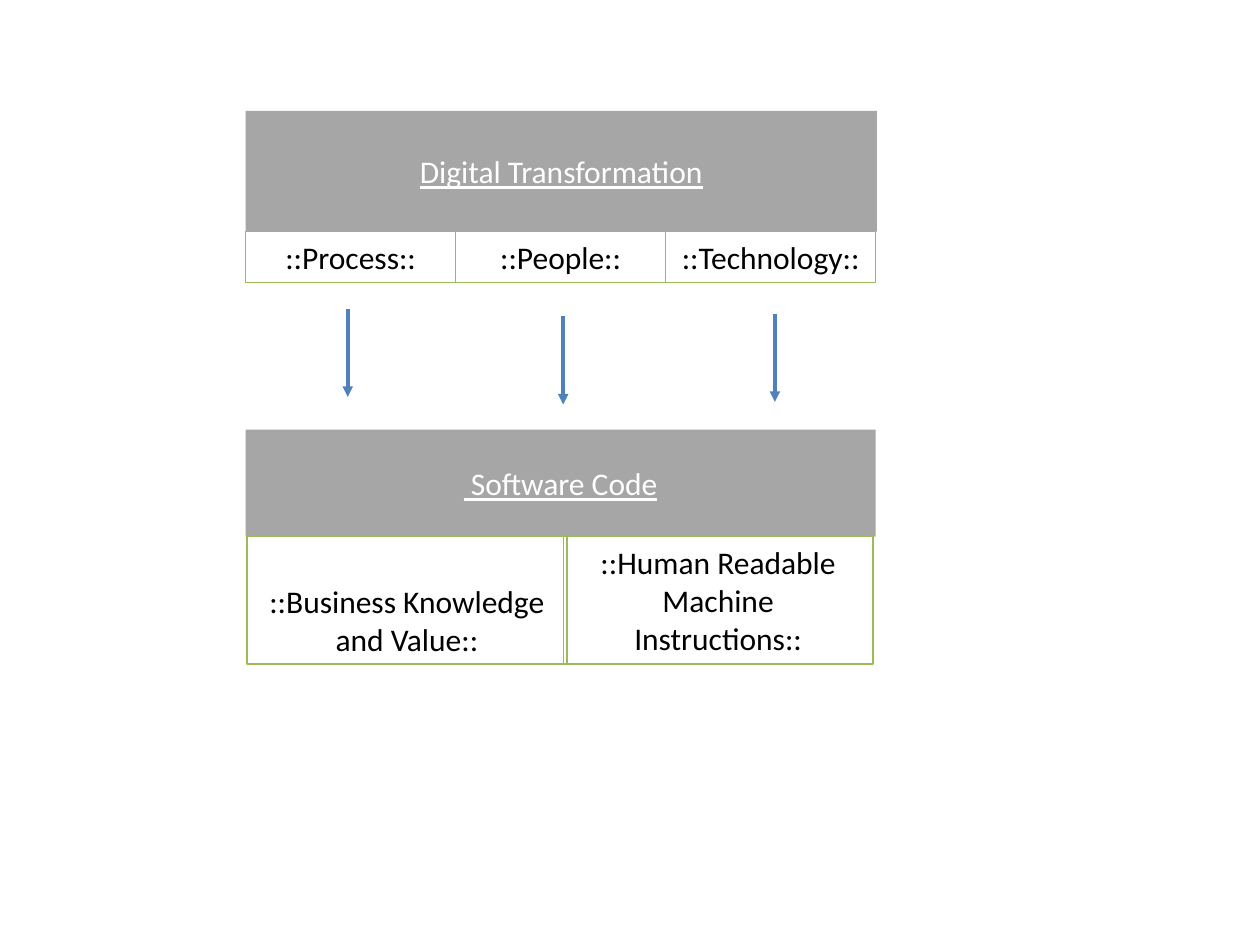
from lxml.etree import SubElement
from pptx import Presentation
from pptx.dml.color import RGBColor
from pptx.enum.shapes import MSO_CONNECTOR as Connector, MSO_SHAPE as Shape
from pptx.enum.text import MSO_ANCHOR as Anchor, PP_ALIGN as Align
from pptx.oxml.ns import qn
from pptx.util import Inches, Pt

GRAY, GREEN, BLUE = "A6A6A6", "9BBB59", "4F81BD"
WHITE, BLACK = "FFFFFF", "000000"

# Grid: one block of three equal columns
LEFT, WIDTH = 1.95, 5
COLUMN = WIDTH / 3
TOP_HEADER, TOP_CELLS = 0.88, 1.84
CODE_HEADER, CODE_CELLS = 3.41, 4.26
CELL_HEIGHT, CODE_HEIGHT = 0.4, 1.01
ARROW_LENGTH = 0.7


def color(hex_value):
    return RGBColor.from_string(hex_value)


def add_box(page, area, text, font_color, anchor):
    box = page.shapes.add_shape(Shape.RECTANGLE, *map(Inches, area))
    box.shadow.inherit = False
    frame = box.text_frame
    frame.word_wrap = True
    frame.vertical_anchor = anchor
    para = frame.paragraphs[0]
    para.alignment = Align.CENTER
    span = para.add_run()
    span.text = text
    span.font.name = "Calibri"
    span.font.size = Pt(18)
    span.font.color.rgb = color(font_color)
    return box


def add_header(page, area, text):
    box = add_box(page, area, text, WHITE, Anchor.MIDDLE)
    box.fill.solid()
    box.fill.fore_color.rgb = color(GRAY)
    box.line.fill.background()
    box.text_frame.paragraphs[0].runs[0].font.underline = True


def add_cell(page, area, text, anchor=Anchor.TOP):
    box = add_box(page, area, text, BLACK, anchor)
    box.fill.background()
    box.line.color.rgb = color(GREEN)
    box.line.width = Pt(0.75)


def add_arrow(page, x, top):
    ends = map(Inches, (x, top, x, top + ARROW_LENGTH))
    arrow = page.shapes.add_connector(Connector.STRAIGHT, *ends)
    arrow.line.color.rgb = color(BLUE)
    arrow.line.width = Pt(2)
    SubElement(arrow.line._get_or_add_ln(), qn("a:tailEnd"), type="triangle")
    SubElement(arrow._element.spPr, qn("a:effectLst"))


def main():
    deck = Presentation()
    deck.slide_width, deck.slide_height = Inches(10), Inches(7.5)
    page = deck.slides.add_slide(deck.slide_layouts[6])

    # Headers reach down to the cells below them
    add_header(page, (LEFT, TOP_HEADER, WIDTH + 0.01, TOP_CELLS - TOP_HEADER),
               "Digital Transformation")
    add_header(page, (LEFT, CODE_HEADER, WIDTH, CODE_CELLS - CODE_HEADER),
               " Software Code")

    # Three aspects of the transformation
    for index, text in enumerate(("::Process::", "::People::", "::Technology::")):
        add_cell(page, (LEFT + index * COLUMN, TOP_CELLS, COLUMN, CELL_HEIGHT), text)

    # Two aspects of the code, slightly overlapping
    add_cell(page, (1.96, CODE_CELLS, 2.54, CODE_HEIGHT),
             "::Business Knowledge and Value::", Anchor.BOTTOM)
    add_cell(page, (4.47, CODE_CELLS, 2.46, CODE_HEIGHT),
             "::Human Readable Machine Instructions::")

    # Arrows from the aspects down to the code
    for x, top in ((2.76, 2.45), (4.47, 2.51), (6.15, 2.49)):
        add_arrow(page, x, top)

    deck.save("out.pptx")


main()
